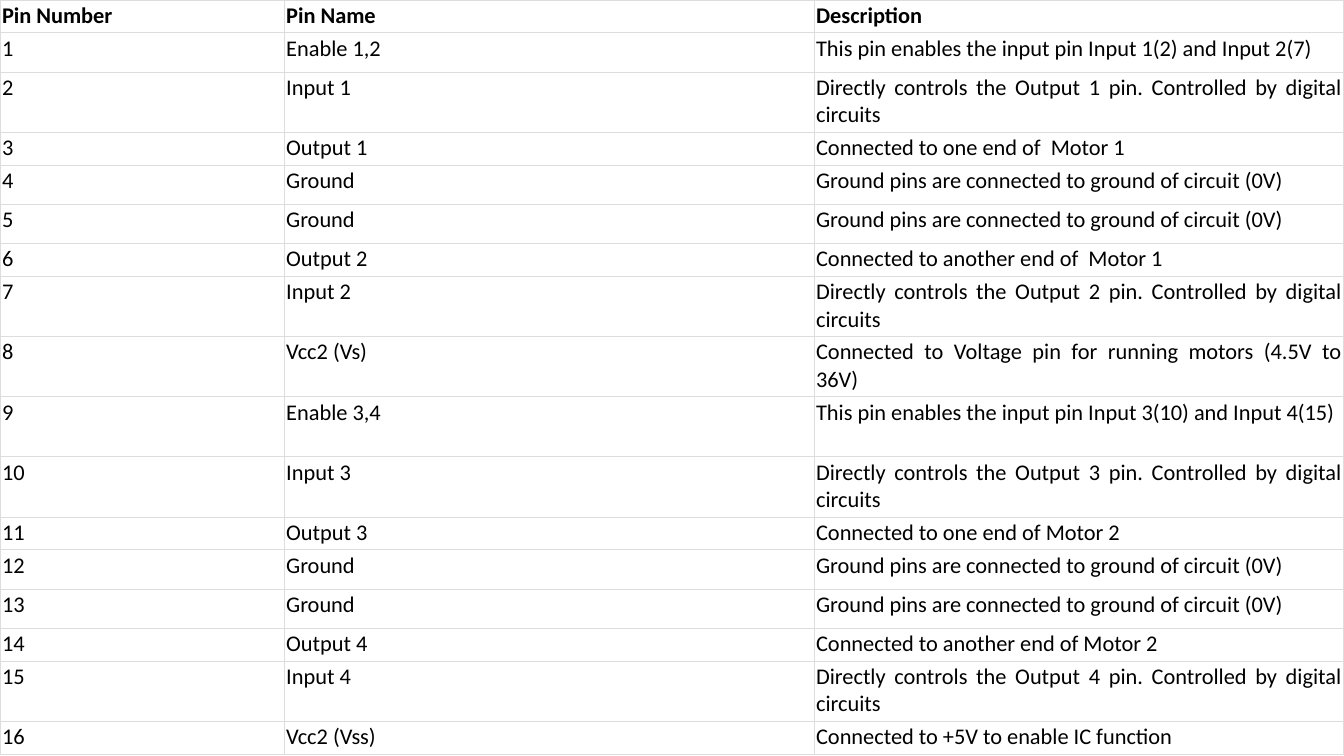
from lxml import etree
from pptx import Presentation
from pptx.dml.color import RGBColor
from pptx.enum.text import PP_ALIGN
from pptx.oxml.ns import qn
from pptx.util import Pt

JUSTIFY = PP_ALIGN.JUSTIFY

SHORT, MEDIUM, TALL = 47, 56, 86
HEADER = ("Pin Number", "Pin Name", "Description")
GROUND = "Ground pins are connected to ground of circuit (0V)"
CONTROL = "Directly controls the Output {} pin. Controlled by digital circuits"

# Row height, pin name, description; pins are numbered in order
PINS = [
    (MEDIUM, "Enable 1,2", "This pin enables the input pin Input 1(2) and Input 2(7)"),
    (TALL, "Input 1", CONTROL.format(1)),
    (SHORT, "Output 1", "Connected to one end of  Motor 1"),
    (MEDIUM, "Ground", GROUND),
    (MEDIUM, "Ground", GROUND),
    (SHORT, "Output 2", "Connected to another end of  Motor 1"),
    (TALL, "Input 2", CONTROL.format(2)),
    (TALL, "Vcc2 (Vs)", "Connected to Voltage pin for running motors (4.5V to 36V)"),
    (TALL, "Enable 3,4", "This pin enables the input pin Input 3(10) and Input 4(15)"),
    (TALL, "Input 3", CONTROL.format(3)),
    (SHORT, "Output 3", "Connected to one end of Motor 2"),
    (MEDIUM, "Ground", GROUND),
    (MEDIUM, "Ground", GROUND),
    (SHORT, "Output 4", "Connected to another end of Motor 2"),
    (TALL, "Input 4", CONTROL.format(4)),
    (SHORT, "Vcc2 (Vss)", "Connected to +5V to enable IC function"),
]

EMU_PER_PX = 6350
SLIDE_WIDTH, SLIDE_HEIGHT = 1920, 1080
COLUMN_WIDTHS = (406, 757, 757)
CELL_MARGIN = 3
FONT, FONT_SIZE = "Calibri", 16
TEXT, PAPER, GRID = "000000", "FFFFFF", "DDDDDD"
GRID_WIDTH = 0.75


def px(length):
    return length * EMU_PER_PX


def color(hex_value):
    return RGBColor.from_string(hex_value)


def add_borders(cell):
    """Insert the four grid lines ahead of the cell's fill, as the schema requires."""
    properties = cell._tc.get_or_add_tcPr()
    for position, side in enumerate(("lnL", "lnR", "lnT", "lnB")):
        line = etree.Element(qn(f"a:{side}"), w=str(Pt(GRID_WIDTH)))
        fill = etree.SubElement(line, qn("a:solidFill"))
        etree.SubElement(fill, qn("a:srgbClr"), val=GRID)
        properties.insert(position, line)


def fill_cell(cell, text, bold):
    cell.fill.solid()
    cell.fill.fore_color.rgb = color(PAPER)
    cell.margin_left = cell.margin_right = px(CELL_MARGIN)
    cell.margin_top = cell.margin_bottom = px(CELL_MARGIN)
    add_borders(cell)
    paragraph = cell.text_frame.paragraphs[0]
    paragraph.text = text
    paragraph.alignment = JUSTIFY
    font = paragraph.runs[0].font
    font.name, font.size, font.bold = FONT, Pt(FONT_SIZE), bold
    font.color.rgb = color(TEXT)


def main():
    deck = Presentation()
    deck.slide_width, deck.slide_height = px(SLIDE_WIDTH), px(SLIDE_HEIGHT)
    slide = deck.slides.add_slide(deck.slide_layouts[6])

    rows = [(SHORT, HEADER)]
    rows += [(height, (str(number), name, description))
             for number, (height, name, description) in enumerate(PINS, 1)]
    pin_table = slide.shapes.add_table(
        len(rows), len(HEADER), 0, 0, px(SLIDE_WIDTH), px(SLIDE_HEIGHT)).table
    pin_table.horz_banding = False

    for column, width in zip(pin_table.columns, COLUMN_WIDTHS):
        column.width = px(width)
    for index, (height, texts) in enumerate(rows):
        pin_table.rows[index].height = px(height)
        for cell, text in zip(pin_table.rows[index].cells, texts):
            fill_cell(cell, text, bold=index == 0)

    deck.save("out.pptx")


if __name__ == "__main__":
    main()
